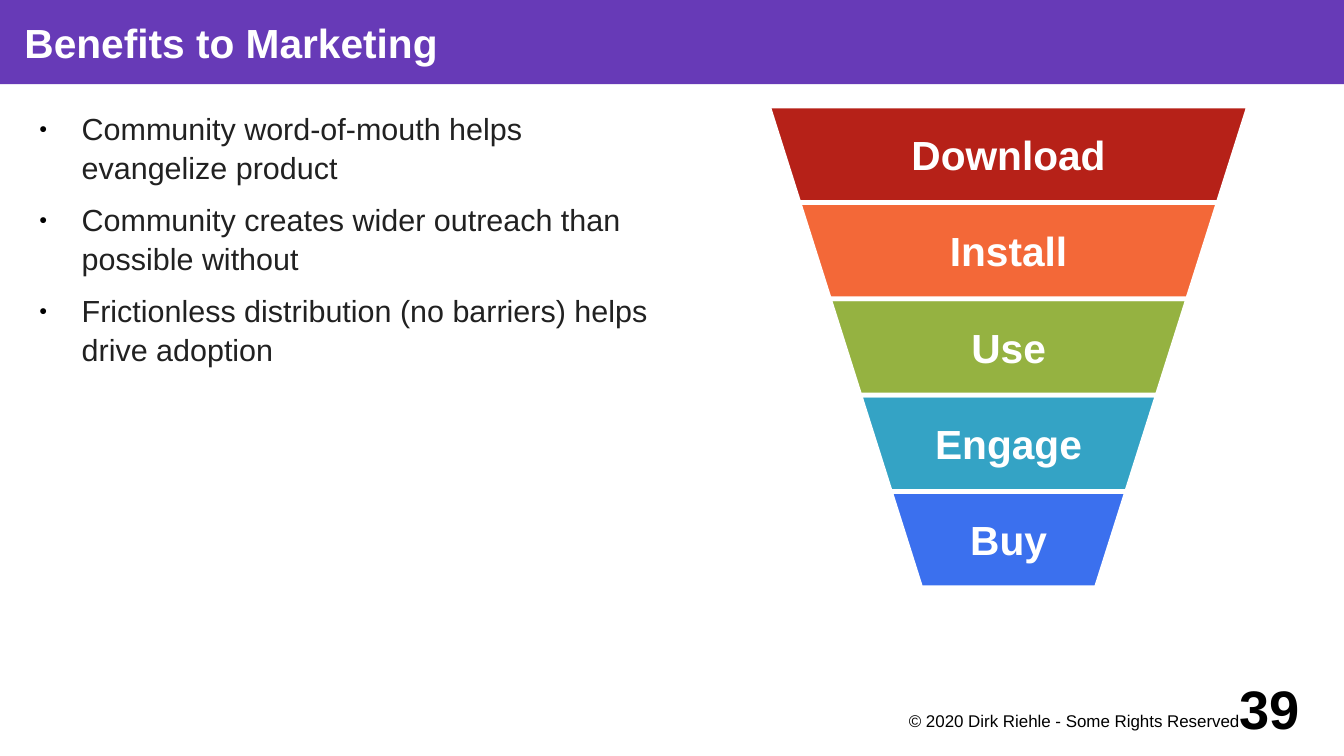
from lxml.etree import SubElement
from pptx import Presentation
from pptx.dml.color import RGBColor
from pptx.enum.shapes import MSO_SHAPE
from pptx.enum.text import MSO_ANCHOR, PP_ALIGN
from pptx.oxml.ns import qn
from pptx.util import Inches, Pt

FONT = "Arial"
WHITE = RGBColor(0xFF, 0xFF, 0xFF)
BLACK = RGBColor(0x00, 0x00, 0x00)
INK = RGBColor(0x21, 0x21, 0x21)
PURPLE = RGBColor(0x67, 0x3A, 0xB7)
RED = RGBColor(0xB6, 0x21, 0x18)
ORANGE = RGBColor(0xF3, 0x68, 0x38)
GREEN = RGBColor(0x95, 0xB2, 0x41)
TEAL = RGBColor(0x34, 0xA3, 0xC5)
BLUE = RGBColor(0x3B, 0x70, 0xEE)

BENEFITS = [
    "Community word-of-mouth helps evangelize product",
    "Community creates wider outreach than possible without",
    "Frictionless distribution (no barriers) helps drive adoption",
]
STAGES = [("Download", RED), ("Install", ORANGE), ("Use", GREEN),
          ("Engage", TEAL), ("Buy", BLUE)]

# Funnel geometry in inches
FUNNEL_CENTER, FUNNEL_TOP = 8.27, 0.87
FUNNEL_HALF, STAGE_HEIGHT, STAGE_STEP = 1.97, 0.79, 0.25


def set_text(sp, *lines, size=24, color=WHITE, bold=False, align=PP_ALIGN.LEFT,
             anchor=MSO_ANCHOR.TOP, insets=(0, 0, 0, 0), wrap=True):
    tf = sp.text_frame
    tf.word_wrap = wrap
    tf.vertical_anchor = anchor
    tf.margin_left, tf.margin_top, tf.margin_right, tf.margin_bottom = map(Inches, insets)
    for i, line in enumerate(lines):
        p = tf.add_paragraph() if i else tf.paragraphs[0]
        p.alignment = align
        r = p.add_run()
        r.text = line
        r.font.name, r.font.size, r.font.bold = FONT, Pt(size), bold
        r.font.color.rgb = color
    return tf


def add_text(slide, x, y, w, h, *lines, **fmt):
    sp = slide.shapes.add_textbox(Inches(x), Inches(y), Inches(w), Inches(h))
    return set_text(sp, *lines, **fmt)


def set_bullet(p):
    p.space_before = p.space_after = Pt(4.2)
    p.line_spacing = 1.05
    pPr = p._p.get_or_add_pPr()
    pPr.set("marL", str(Inches(0.47)))
    pPr.set("indent", str(Inches(-0.35)))
    color = SubElement(pPr, qn("a:buClr"))
    SubElement(color, qn("a:srgbClr"), val=str(BLACK))
    SubElement(pPr, qn("a:buSzPct"), val="45000")
    SubElement(pPr, qn("a:buFont"), typeface=FONT)
    SubElement(pPr, qn("a:buChar"), char="●")


def add_title_bar(slide, width, title):
    sp = slide.shapes.add_shape(MSO_SHAPE.RECTANGLE, 0, 0, width, Inches(0.69))
    sp.shadow.inherit = False
    sp.fill.solid()
    sp.fill.fore_color.rgb = PURPLE
    sp.line.fill.background()
    set_text(sp, title, bold=True, anchor=MSO_ANCHOR.MIDDLE, insets=(0.2, 0, 0, 0))


def add_stage(slide, index, label, color):
    top = FUNNEL_TOP + index * STAGE_HEIGHT
    bottom = top + STAGE_HEIGHT
    wide = FUNNEL_HALF - index * STAGE_STEP
    narrow = wide - STAGE_STEP
    corners = [(-wide, top), (wide, top), (narrow, bottom), (-narrow, bottom)]
    points = [(Inches(FUNNEL_CENTER + dx), Inches(y)) for dx, y in corners]
    builder = slide.shapes.build_freeform(*points[0])
    builder.add_line_segments(points[1:], close=True)
    sp = builder.convert_to_shape()
    sp.shadow.inherit = False
    sp.fill.solid()
    sp.fill.fore_color.rgb = color
    sp.line.color.rgb = WHITE
    sp.line.width = Pt(2.83)
    set_text(sp, label, bold=True, align=PP_ALIGN.CENTER, anchor=MSO_ANCHOR.MIDDLE,
             insets=(0.08,) * 4, wrap=False)


def main():
    prs = Presentation()
    prs.slide_width, prs.slide_height = Inches(11.02), Inches(6.2)
    slide = prs.slides.add_slide(prs.slide_layouts[6])

    # Title and benefits
    add_title_bar(slide, prs.slide_width, "Benefits to Marketing")
    tf = add_text(slide, 0.2, 0.89, 5.19, 4.53, *BENEFITS, size=18, color=INK)
    for p in tf.paragraphs:
        set_bullet(p)

    # Funnel, stacked from the bottom stage up
    for index, (label, color) in reversed(list(enumerate(STAGES))):
        add_stage(slide, index, label, color)

    # Footer
    add_text(slide, 7.09, 5.81, 3.15, 0.3, "© 2020 Dirk Riehle - Some Rights Reserved",
             size=10, color=BLACK, align=PP_ALIGN.RIGHT, insets=(0, 0.02, 0.08, 0), wrap=True)
    add_text(slide, 9.87, 5.51, 0.79, 0.59, "39", size=32, color=BLACK, bold=True,
             align=PP_ALIGN.RIGHT, anchor=MSO_ANCHOR.MIDDLE)

    prs.save("out.pptx")


if __name__ == "__main__":
    main()
